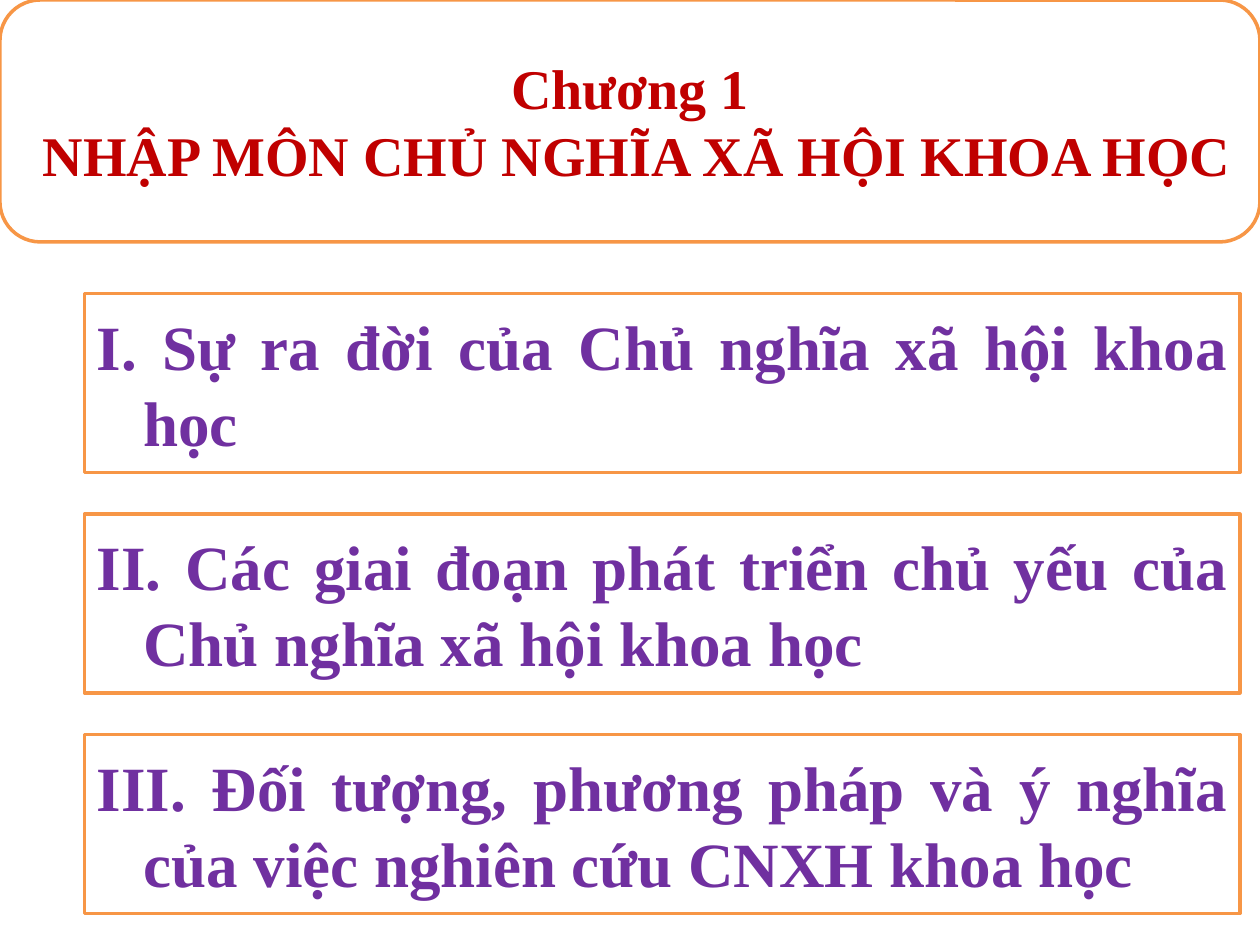
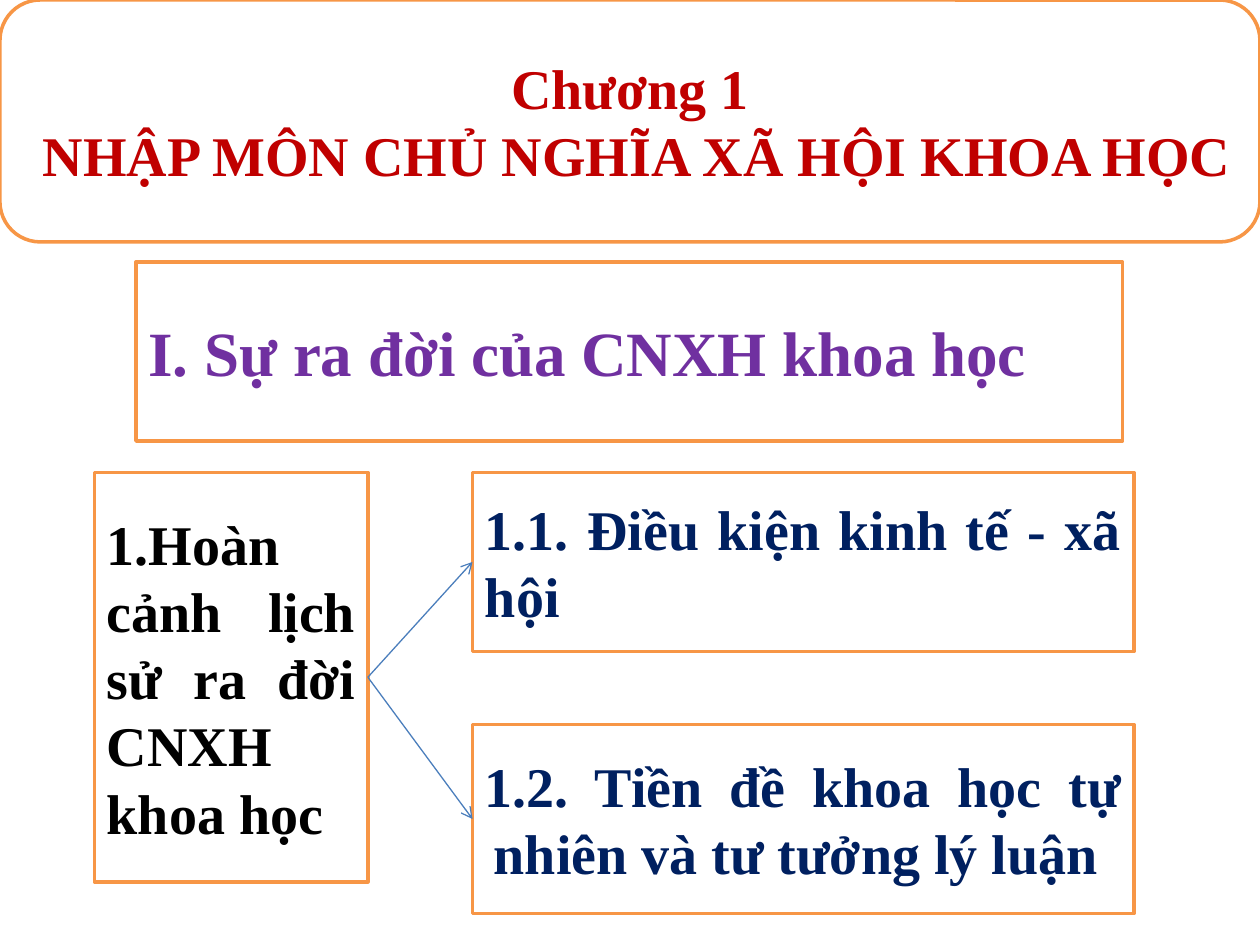
from lxml import etree
from pptx import Presentation
from pptx.dml.color import RGBColor
from pptx.enum.shapes import MSO_CONNECTOR, MSO_SHAPE
from pptx.enum.text import MSO_ANCHOR, PP_ALIGN
from pptx.oxml.ns import qn
from pptx.util import Inches, Pt

WHITE = RGBColor(0xFF, 0xFF, 0xFF)
BLACK = RGBColor(0x00, 0x00, 0x00)
ORANGE = RGBColor(0xF7, 0x96, 0x46)
RED = RGBColor(0xC0, 0x00, 0x00)
PURPLE = RGBColor(0x70, 0x30, 0xA0)
NAVY = RGBColor(0x00, 0x20, 0x60)
BLUE = RGBColor(0x4B, 0x7E, 0xBC)

RECT = MSO_SHAPE.RECTANGLE
ROUNDED = MSO_SHAPE.ROUNDED_RECTANGLE
STRAIGHT = MSO_CONNECTOR.STRAIGHT
CENTER, JUSTIFY = PP_ALIGN.CENTER, PP_ALIGN.JUSTIFY
MIDDLE = MSO_ANCHOR.MIDDLE
LEFT_SITE, RIGHT_SITE = 1, 3

FONT = "Times New Roman"
BOX_H = 1.42
CHAPTER = ["Chương 1", " NHẬP MÔN CHỦ NGHĨA XÃ HỘI KHOA HỌC"]
SECTIONS = [
    "I. Sự ra đời của Chủ nghĩa xã hội khoa học",
    "II. Các giai đoạn phát triển chủ yếu của Chủ nghĩa xã hội khoa học",
    "III. Đối tượng, phương pháp và ý nghĩa của việc nghiên cứu CNXH khoa học",
]


class Deck:
    def __init__(self):
        self.prs = Presentation()
        self.prs.slide_width, self.prs.slide_height = Inches(10), Inches(7.5)
        self.s = None

    def chapter_slide(self):
        """Start a blank slide topped by the chapter title."""
        self.s = self.prs.slides.add_slide(self.prs.slide_layouts[6])
        self.box(0, 0, 10, 1.92, CHAPTER, RED, shape=ROUNDED, align=CENTER)

    def box(self, x, y, w, h, lines, color, size=32, hanging=0,
            shape=RECT, align=JUSTIFY):
        """Add an outlined box; hanging is the hanging indent in inches."""
        sp = self.s.shapes.add_shape(
            shape, Inches(x), Inches(y), Inches(w), Inches(h))
        sp.shadow.inherit = False
        sp.fill.solid()
        sp.fill.fore_color.rgb = WHITE
        sp.line.color.rgb = ORANGE
        sp.line.width = Pt(2)
        tf = sp.text_frame
        tf.word_wrap = True
        tf.vertical_anchor = MIDDLE
        for i, line in enumerate(lines):
            p = tf.add_paragraph() if i else tf.paragraphs[0]
            p.alignment = align
            if hanging:
                pPr = p._p.get_or_add_pPr()
                pPr.set("marL", str(Inches(hanging)))
                pPr.set("indent", str(-Inches(hanging)))
            r = p.add_run()
            r.text = line
            r.font.name = FONT
            r.font.size = Pt(size)
            r.font.bold = True
            r.font.color.rgb = color
        return sp

    def section(self, x, y, w, text):
        return self.box(x, y, w, BOX_H, [text], PURPLE, size=36, hanging=0.37)

    def arrow(self, source, target):
        """Link the right side of source to the left side of target."""
        line = self.s.shapes.add_connector(STRAIGHT, 0, 0, 0, 0)
        line.begin_connect(source, RIGHT_SITE)
        line.end_connect(target, LEFT_SITE)
        line.line.color.rgb = BLUE
        line.line.width = Pt(0.75)
        etree.SubElement(line.line._get_or_add_ln(), qn("a:tailEnd"), type="arrow")
        etree.SubElement(line._element.spPr, qn("a:effectLst"))


def main():
    deck = Deck()

    deck.chapter_slide()
    for i, text in enumerate(SECTIONS):
        deck.section(0.67, 2.33 + 1.75 * i, 9.17, text)

    deck.chapter_slide()
    deck.section(1.08, 2.08, 7.83, "I. Sự ra đời của CNXH khoa học")
    context = deck.box(0.75, 3.75, 2.17, 3.25,
                       ["1.Hoàn cảnh lịch sử ra đời CNXH khoa học"], BLACK)
    conditions = deck.box(3.75, 3.75, 5.25, BOX_H,
                          ["1.1. Điều kiện kinh tế - xã hội"], NAVY)
    premises = deck.box(3.75, 5.75, 5.25, 1.5,
                        ["1.2. Tiền đề khoa học tự nhiên và tư tưởng lý luận"],
                        NAVY, hanging=0.07)
    for target in (conditions, premises):
        deck.arrow(context, target)

    deck.prs.save("out.pptx")


if __name__ == "__main__":
    main()
